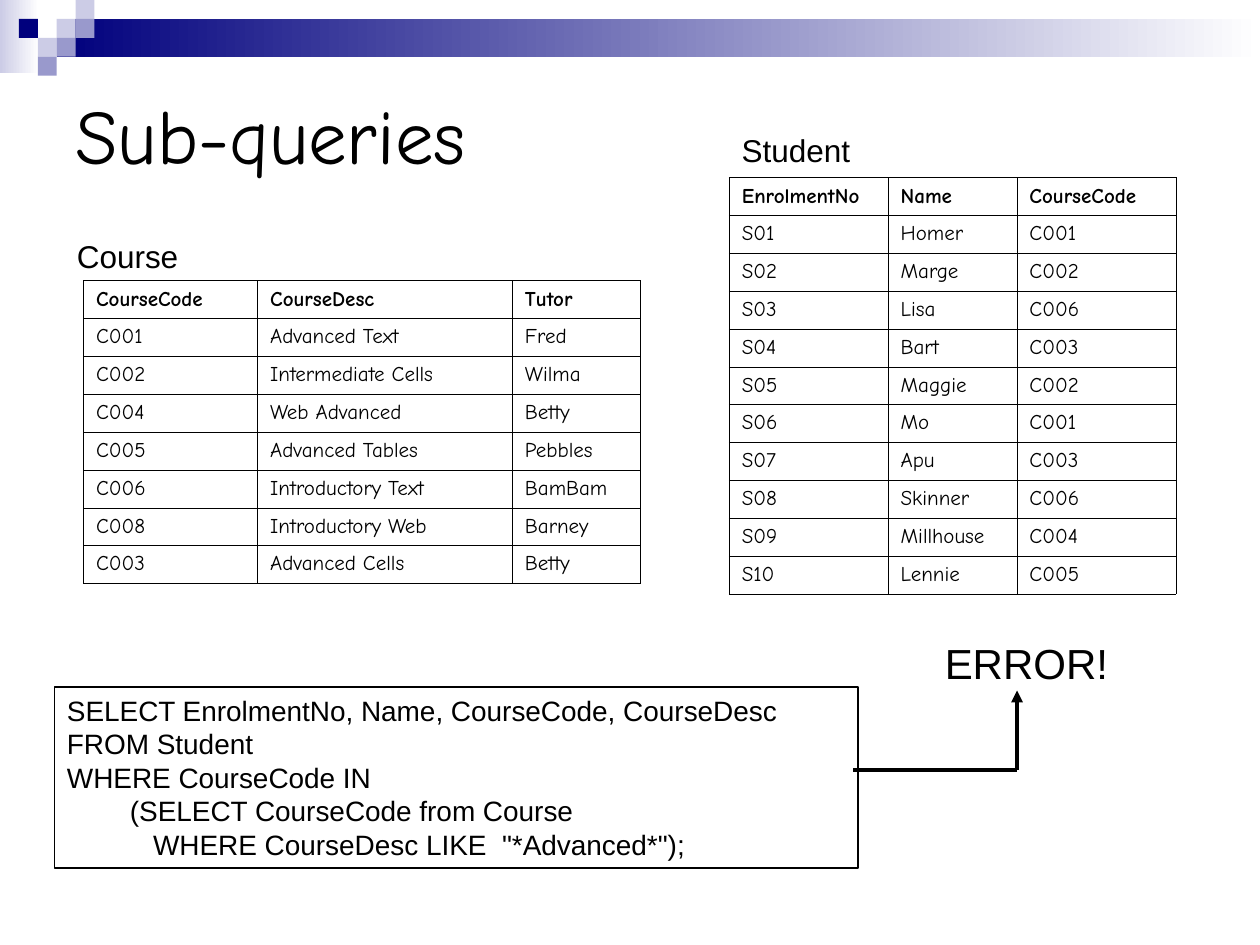
from pptx import Presentation
from pptx.dml.color import RGBColor
from pptx.enum.shapes import MSO_CONNECTOR, MSO_SHAPE
from pptx.enum.text import MSO_ANCHOR as Anchor
from pptx.oxml.ns import qn
from pptx.util import Pt
from lxml.etree import SubElement as add_element

BLACK = RGBColor(0x00, 0x00, 0x00)
WHITE = RGBColor(0xFF, 0xFF, 0xFF)
NAVY = RGBColor(0x00, 0x00, 0x7D)
LILAC = RGBColor(0xCC, 0xCC, 0xE6)
VIOLET = RGBColor(0x99, 0x99, 0xCC)

HAND_FONT = "Comic Neue"
PLAIN_FONT = "Arial"
SQUARE = 10.8
ROW_HEIGHT = 21.6

SQUARES = [
    (3, 1, LILAC), (4, 0, LILAC), (4, 1, VIOLET), (2, 2, LILAC),
    (1, 1, NAVY), (3, 2, VIOLET), (2, 3, VIOLET),
]

COURSES = [
    ("CourseCode", "CourseDesc", "Tutor"),
    ("C001", "Advanced Text", "Fred"),
    ("C002", "Intermediate Cells", "Wilma"),
    ("C004", "Web Advanced", "Betty"),
    ("C005", "Advanced Tables", "Pebbles"),
    ("C006", "Introductory Text", "BamBam"),
    ("C008", "Introductory Web", "Barney"),
    ("C003", "Advanced Cells", "Betty"),
]

STUDENTS = [
    ("EnrolmentNo", "Name", "CourseCode"),
    ("S01", "Homer", "C001"),
    ("S02", "Marge", "C002"),
    ("S03", "Lisa", "C006"),
    ("S04", "Bart", "C003"),
    ("S05", "Maggie", "C002"),
    ("S06", "Mo", "C001"),
    ("S07", "Apu", "C003"),
    ("S08", "Skinner", "C006"),
    ("S09", "Millhouse", "C004"),
    ("S10", "Lennie", "C005"),
]

QUERY = [
    "SELECT EnrolmentNo, Name, CourseCode, CourseDesc",
    "FROM Student",
    "WHERE CourseCode IN",
    "\t(SELECT CourseCode from Course",
    "\t   WHERE CourseDesc LIKE  \"*Advanced*\");",
]


def add_span(para, text, size, font, bold=False):
    span = para.add_run()
    span.text = text
    span.font.size = Pt(size)
    span.font.name = font
    span.font.bold = bold
    span.font.color.rgb = BLACK


def add_text(page, left, top, width, height, lines, size, font=PLAIN_FONT, anchor=Anchor.TOP):
    box = page.shapes.add_textbox(Pt(left), Pt(top), Pt(width), Pt(height))
    frame = box.text_frame
    frame.word_wrap = True
    frame.vertical_anchor = anchor
    for index, line in enumerate(lines):
        para = frame.add_paragraph() if index else frame.paragraphs[0]
        add_span(para, line, size, font)
    return box


def add_block(page, left, top, width, height, color, fade=False):
    block = page.shapes.add_shape(
        MSO_SHAPE.RECTANGLE, Pt(left), Pt(top), Pt(width), Pt(height))
    block.shadow.inherit = False
    block.line.fill.background()
    if fade:
        block.fill.gradient()
        block.fill.gradient_angle = 0
        for stop, stop_color in zip(block.fill.gradient_stops, (color, WHITE)):
            stop.color.rgb = stop_color
    else:
        block.fill.solid()
        block.fill.fore_color.rgb = color


def add_borders(cell):
    properties = cell._tc.get_or_add_tcPr()
    for side in ("a:lnL", "a:lnR", "a:lnT", "a:lnB"):
        border = add_element(properties, qn(side), w=str(Pt(0.34)))
        fill = add_element(border, qn("a:solidFill"))
        add_element(fill, qn("a:srgbClr"), val=str(BLACK))


def add_grid(page, left, top, widths, rows):
    table = page.shapes.add_table(
        len(rows), len(widths), Pt(left), Pt(top),
        Pt(sum(widths)), Pt(ROW_HEIGHT * len(rows))).table
    for column, width in zip(table.columns, widths):
        column.width = Pt(width)
    for row_index, values in enumerate(rows):
        is_header = row_index == 0
        table.rows[row_index].height = Pt(ROW_HEIGHT)
        for column_index, value in enumerate(values):
            cell = table.cell(row_index, column_index)
            add_borders(cell)
            if is_header:
                cell.fill.background()
                cell.vertical_anchor = Anchor.MIDDLE
            else:
                cell.fill.solid()
                cell.fill.fore_color.rgb = WHITE
            add_span(cell.text_frame.paragraphs[0], value, 12, HAND_FONT, is_header)


def add_line(page, start, end, arrow=False):
    line = page.shapes.add_connector(
        MSO_CONNECTOR.STRAIGHT, *(Pt(value) for value in start + end))
    line.line.color.rgb = BLACK
    line.line.width = Pt(2.25)
    if arrow:
        add_element(line.line._get_or_add_ln(), qn("a:tailEnd"), type="triangle")
    add_element(line._element.spPr, qn("a:effectLst"))


def add_banner(page):
    add_block(page, 0, 0, 22.3, 41.8, LILAC, fade=True)
    add_block(page, 3 * SQUARE, SQUARE, 720 - 3 * SQUARE, 2 * SQUARE, NAVY, fade=True)
    for column, row, color in SQUARES:
        add_block(page, column * SQUARE, row * SQUARE, SQUARE, SQUARE, color)


def main():
    deck = Presentation()
    deck.slide_width, deck.slide_height = Pt(720), Pt(540)
    page = deck.slides.add_slide(deck.slide_layouts[6])

    add_banner(page)
    add_text(page, 36, 36, 648, 81, ["Sub-queries"], 44, HAND_FONT, Anchor.MIDDLE)

    add_grid(page, 47.7, 160.4, (99.5, 145.6, 73), COURSES)
    add_grid(page, 416.7, 101.5, (90.8, 73.6, 90.8), STUDENTS)
    add_text(page, 36.8, 132, 152.6, 28.8, ["Course"], 18)
    add_text(page, 416.7, 71.6, 153.4, 28.8, ["Student"], 18)

    query_box = add_text(page, 31.2, 392.6, 459.2, 103.4, QUERY, 16)
    query_box.line.color.rgb = BLACK
    query_box.line.width = Pt(0.75)

    corner = (581.2, 440)
    add_line(page, corner, (581.2, 394.6), arrow=True)
    add_line(page, (487.6, 440), corner)
    add_text(page, 532.8, 361, 139, 36, ["ERROR!"], 24)

    deck.save("out.pptx")


if __name__ == "__main__":
    main()
